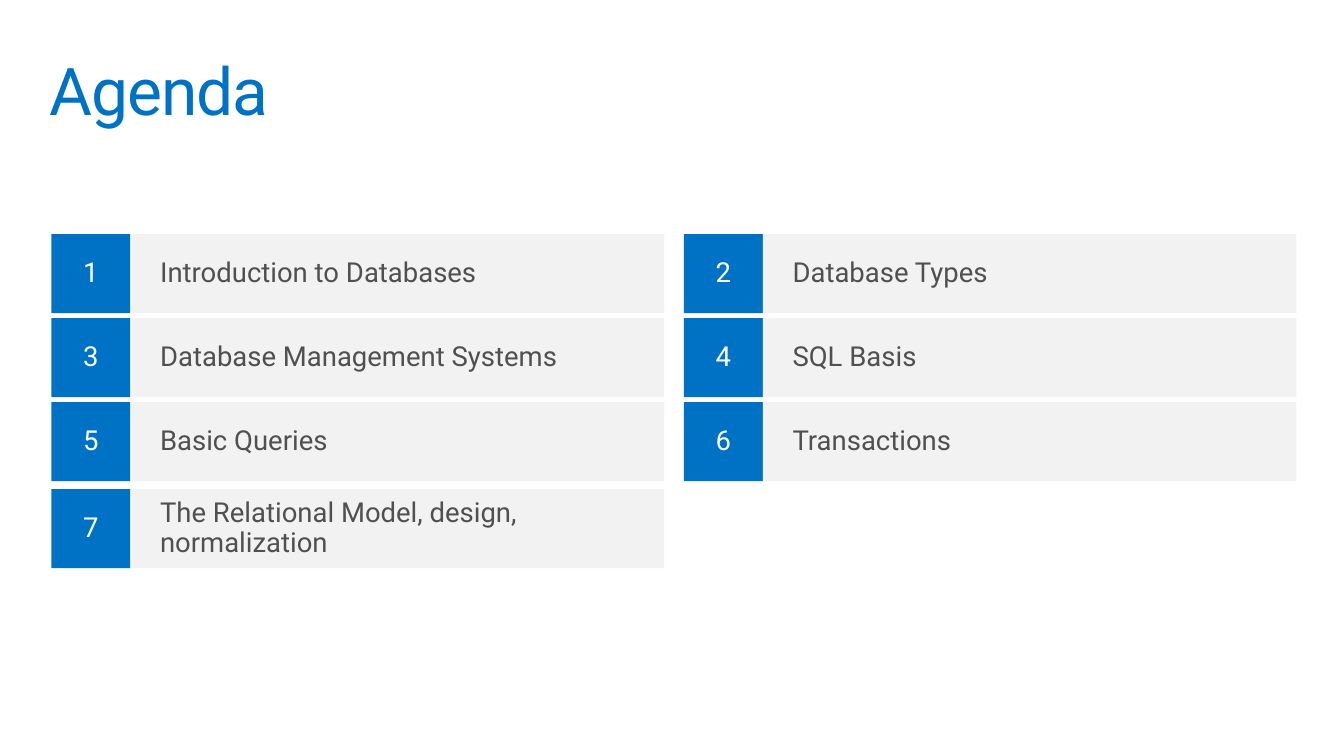
from pptx import Presentation
from pptx.dml.color import RGBColor
from pptx.enum.shapes import MSO_SHAPE
from pptx.enum.text import MSO_ANCHOR, PP_ALIGN
from pptx.util import Pt

TITLE = "Agenda"
TOPICS = [
    "Introduction to Databases",
    "Database Types",
    "Database Management Systems",
    "SQL Basis",
    "Basic Queries",
    "Transactions",
    "The Relational Model, design, normalization",
]

BLUE = RGBColor(0x00, 0x72, 0xC6)
LIGHT_GRAY = RGBColor(0xF2, 0xF2, 0xF2)
DARK_GRAY = RGBColor(0x50, 0x50, 0x50)
WHITE = RGBColor(0xFF, 0xFF, 0xFF)

EMU_PER_PX = 9144
SLIDE_SIZE = (1360, 765)
TITLE_BOX = (40, 40, 1280, 100)
COLUMN_LEFTS = (52, 692)
ROW_TOPS = (237, 322, 407, 495)
TILE = 80
BAR_WIDTH = 540

TITLE_FORMAT = {"name": "Roboto", "size": Pt(48)}
ITEM_FORMAT = {"name": "Roboto", "size": Pt(20)}
NUMBER_STYLE = {"fill": BLUE, "color": WHITE, "align": PP_ALIGN.CENTER, "margins": (20, 16)}
TOPIC_STYLE = {"fill": LIGHT_GRAY, "color": DARK_GRAY, "align": PP_ALIGN.LEFT, "margins": (30, 10)}


def px(length):
    """Convert a length in px to EMU."""
    return length * EMU_PER_PX


def set_attributes(target, values):
    """Set every named value on the target."""
    for name, value in values.items():
        setattr(target, name, value)


def write_text(shape, text, font_format, color, align, anchor, margins, line_spacing):
    """Put one formatted paragraph into a shape."""
    horizontal, vertical = map(px, margins)
    frame = shape.text_frame
    set_attributes(frame, {
        "text": text,
        "word_wrap": True,
        "vertical_anchor": anchor,
        "margin_left": horizontal,
        "margin_right": horizontal,
        "margin_top": vertical,
        "margin_bottom": vertical,
    })
    paragraph = frame.paragraphs[0]
    set_attributes(paragraph, {"alignment": align, "line_spacing": line_spacing})
    font = paragraph.runs[0].font
    set_attributes(font, font_format)
    font.color.rgb = color


def add_title(slide):
    """Format the title placeholder."""
    title = slide.shapes.title
    set_attributes(title, dict(zip(("left", "top", "width", "height"), map(px, TITLE_BOX))))
    write_text(title, TITLE, TITLE_FORMAT, BLUE, PP_ALIGN.LEFT, MSO_ANCHOR.TOP, (10, 10), 1.0)
    title.text_frame.paragraphs[0].runs[0].font._element.set("spc", "-70")


def add_box(slide, text, left, top, width, style):
    """Add one filled rectangle with its text."""
    box = slide.shapes.add_shape(MSO_SHAPE.RECTANGLE, *map(px, (left, top, width, TILE)))
    box.shadow.inherit = False
    box.fill.solid()
    box.fill.fore_color.rgb = style["fill"]
    box.line.fill.background()
    write_text(box, text, ITEM_FORMAT, style["color"], style["align"],
               MSO_ANCHOR.MIDDLE, style["margins"], 0.9)


def main():
    """Build the agenda slide."""
    presentation = Presentation()
    presentation.slide_width, presentation.slide_height = map(px, SLIDE_SIZE)
    slide = presentation.slides.add_slide(presentation.slide_layouts[5])
    add_title(slide)
    for index, topic in enumerate(TOPICS):
        row, column = divmod(index, len(COLUMN_LEFTS))
        left, top = COLUMN_LEFTS[column], ROW_TOPS[row]
        add_box(slide, str(index + 1), left, top, TILE, NUMBER_STYLE)
        add_box(slide, topic, left + TILE, top, BAR_WIDTH, TOPIC_STYLE)
    presentation.save("out.pptx")


if __name__ == "__main__":
    main()
